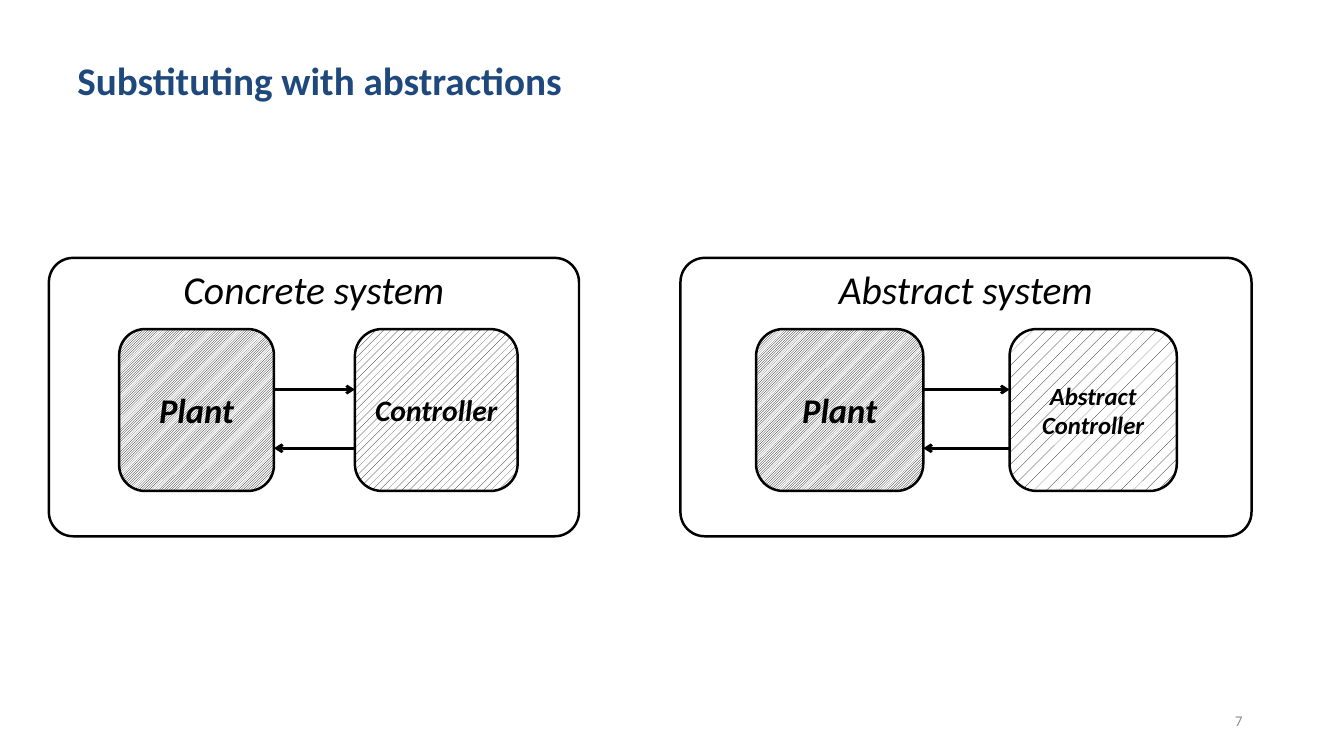
from lxml import etree
from pptx import Presentation
from pptx.dml.color import RGBColor
from pptx.enum import dml, shapes, text
from pptx.oxml import ns
from pptx.util import Inches, Pt

COLORS = {"ink": "000000", "paper": "FFFFFF", "title": "1F497D", "number": "8C8C8C"}
ALIGN = text.PP_ALIGN
ANCHOR = text.MSO_ANCHOR
PATTERN = dml.MSO_PATTERN


def color(name):
    return RGBColor.from_string(COLORS[name])


def write(box, words, size, ink="ink", bold=False, italic=False,
          align=ALIGN.CENTER, anchor=ANCHOR.MIDDLE, inset=(0.1, 0.05)):
    frame = box.text_frame
    frame.word_wrap = True
    frame.vertical_anchor = anchor
    frame.margin_left = frame.margin_right = Inches(inset[0])
    frame.margin_top = frame.margin_bottom = Inches(inset[1])
    para = frame.paragraphs[0]
    para.alignment = align
    span = para.add_run()
    span.text = words
    font = span.font
    font.name, font.size, font.bold, font.italic = "Calibri", Pt(size), bold, italic
    font.color.rgb = color(ink)


def add_label(page, left, top, width, height, words, size, **style):
    box = page.shapes.add_textbox(*map(Inches, (left, top, width, height)))
    write(box, words, size, **style)


def add_block(group, left, top, width, height, pattern=None, corner=None):
    block = group.shapes.add_shape(shapes.MSO_SHAPE.ROUNDED_RECTANGLE,
                                   *map(Inches, (left, top, width, height)))
    block.shadow.inherit = False
    if corner is not None:
        block.adjustments[0] = corner
    if pattern is None:
        block.fill.solid()
        block.fill.fore_color.rgb = color("paper")
    else:
        block.fill.patterned()
        block.fill.pattern = pattern
        block.fill.fore_color.rgb = color("ink")
        block.fill.back_color.rgb = color("paper")
    block.line.color.rgb = color("ink")
    block.line.width = Pt(2)
    return block


def add_arrow(group, start, end, height):
    arrow = group.shapes.add_connector(shapes.MSO_CONNECTOR.STRAIGHT,
                                       *map(Inches, (start, height, end, height)))
    arrow.line.color.rgb = color("ink")
    arrow.line.width = Pt(2.25)
    etree.SubElement(arrow.line._get_or_add_ln(), ns.qn("a:tailEnd"), type="arrow")
    etree.SubElement(arrow._element.spPr, ns.qn("a:effectLst"))


def add_system(page, left, top, width, height, name, plant, controller):
    """Draw a panel whose plant and controller exchange signals."""
    group = page.shapes.add_group_shape()
    panel = add_block(group, left, top, width, height, corner=0.087)
    write(panel, name, 32, italic=True, anchor=ANCHOR.TOP, inset=(0.1, 0))

    # Plant and controller
    block_top = top + 0.8
    for part in (plant, controller):
        block = add_block(group, left + part["offset"], block_top, part["width"], 1.82,
                          pattern=part["pattern"])
        write(block, part["words"], part["size"], bold=True, italic=True)

    # Signals in both directions
    plant_edge = left + plant["offset"] + plant["width"]
    controller_edge = left + controller["offset"]
    add_arrow(group, plant_edge, controller_edge, block_top + 0.68)
    add_arrow(group, controller_edge, plant_edge, block_top + 1.34)


def part(words, size, offset, width, pattern):
    return dict(words=words, size=size, offset=offset, width=width, pattern=pattern)


def main():
    deck = Presentation()
    deck.slide_width, deck.slide_height = Inches(15.11), Inches(8.5)
    page = deck.slides.add_slide(deck.slide_layouts[6])

    # Title and page number
    add_label(page, 0.76, 0.57, 13.35, 0.72, "Substituting with abstractions", 31.7,
              ink="title", bold=True, align=ALIGN.LEFT, anchor=ANCHOR.TOP,
              inset=(0.11, 0.06))
    add_label(page, 10.67, 7.88, 3.4, 0.45, "7", 12, ink="number", align=ALIGN.RIGHT)

    # Concrete and abstract systems side by side
    hatch = PATTERN.LIGHT_UPWARD_DIAGONAL
    add_system(page, 0.55, 2.9, 5.96, 3.13, "Concrete system",
               part("Plant", 28, 0.79, 1.74, hatch),
               part("Controller", 24, 3.44, 1.83, PATTERN.PERCENT_20))
    add_system(page, 7.65, 2.9, 6.42, 3.13, "Abstract system",
               part("Plant", 28, 0.85, 1.88, hatch),
               part("Abstract Controller", 20, 3.7, 1.88, PATTERN.PERCENT_5))

    deck.save("out.pptx")


if __name__ == "__main__":
    main()
